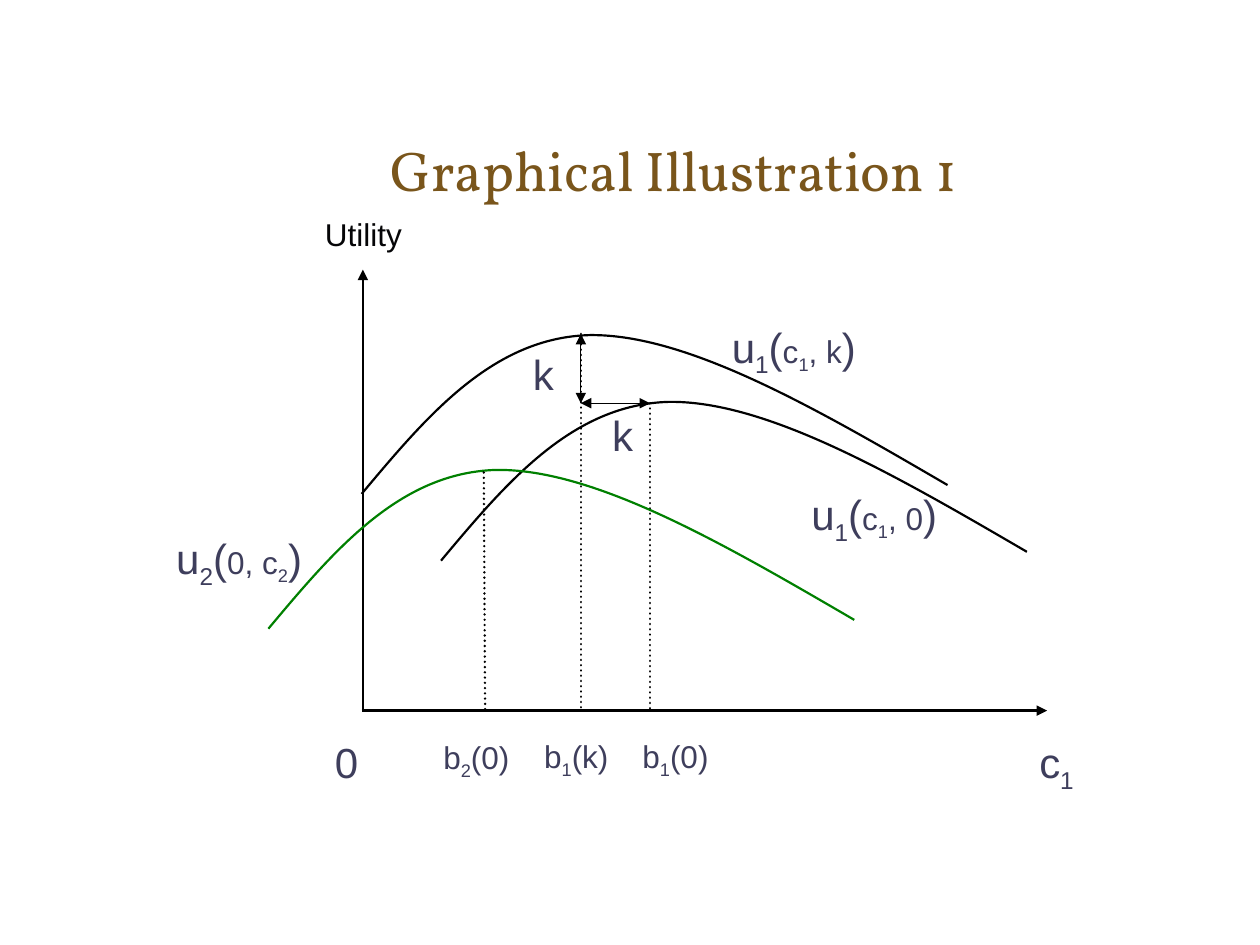
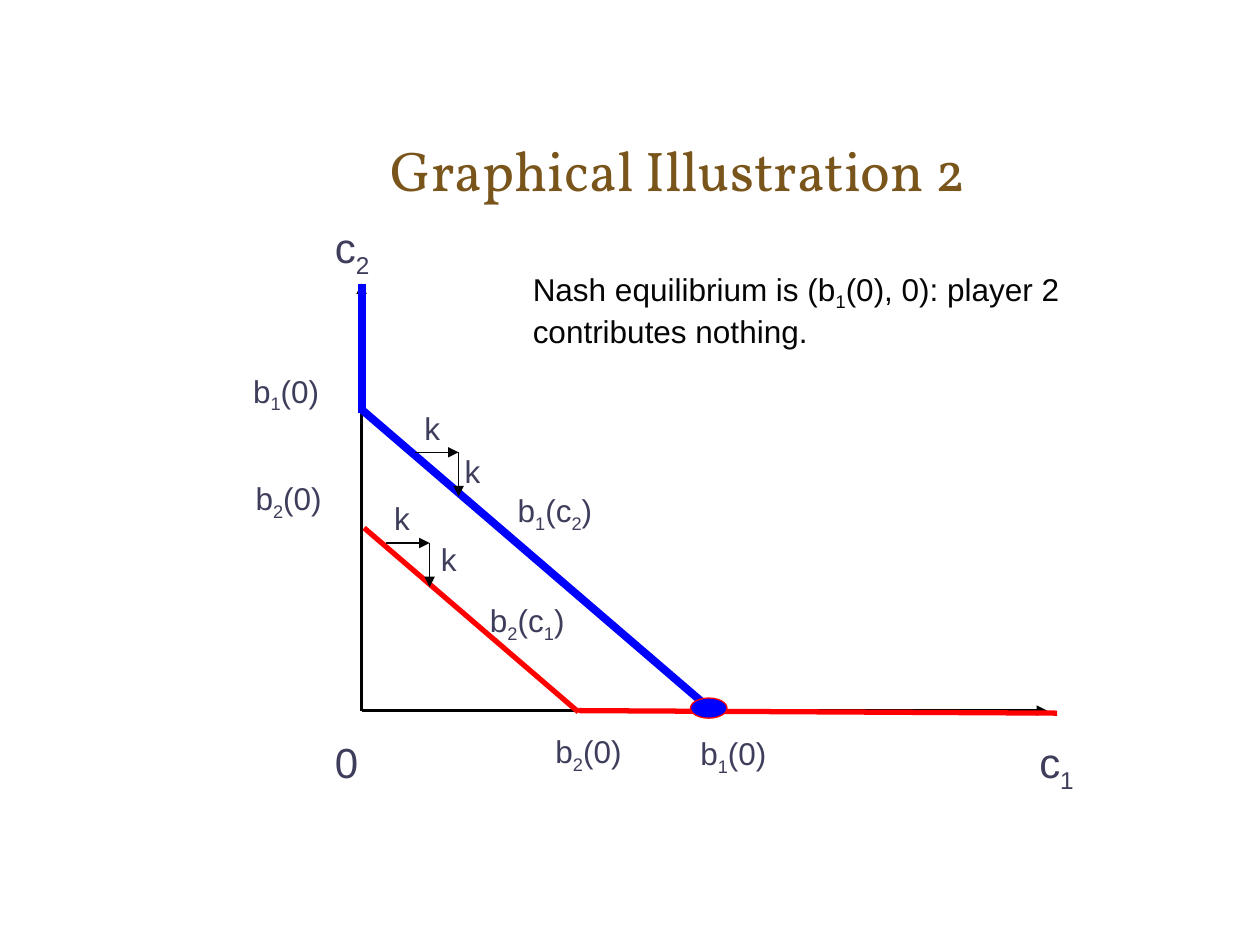
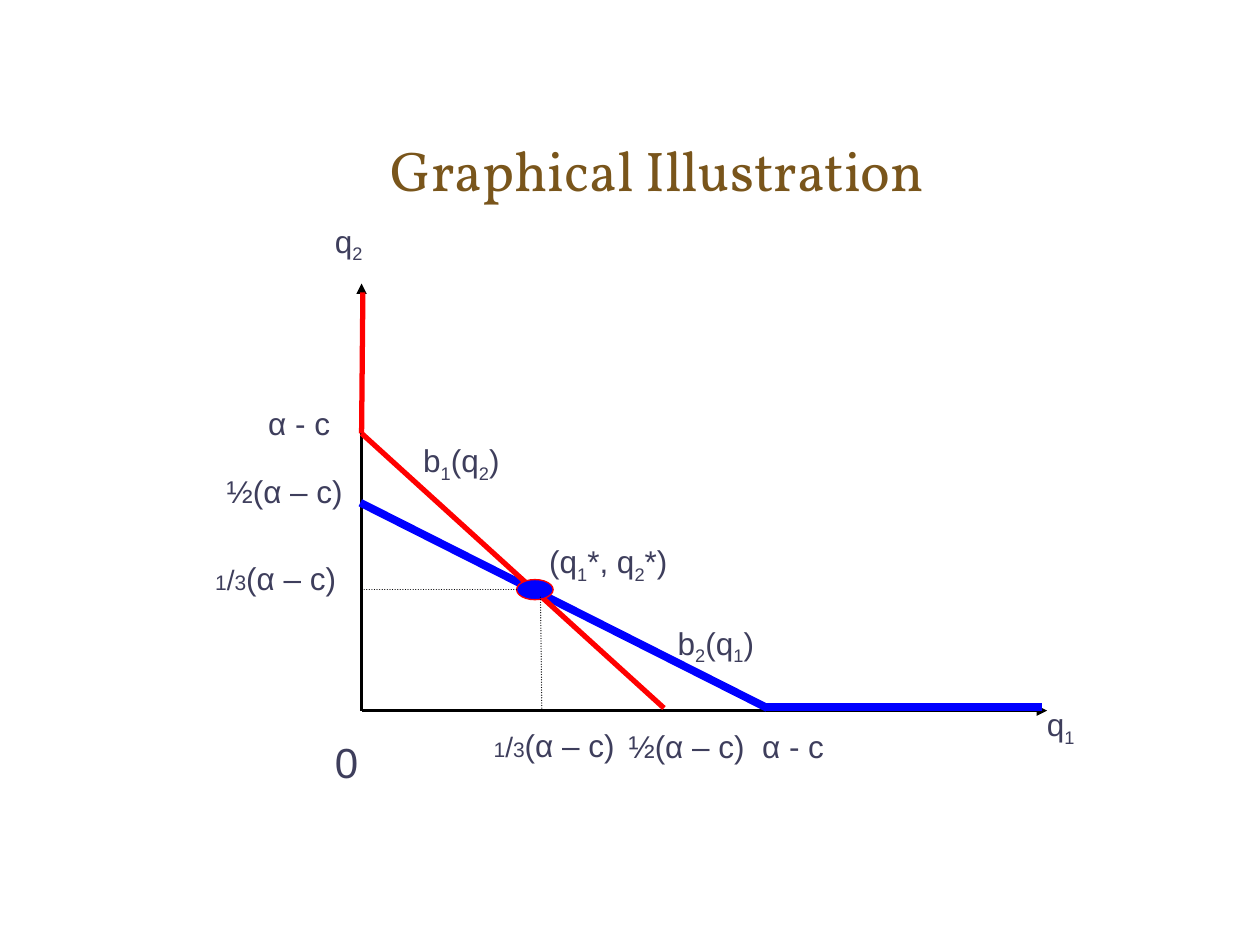
from lxml import etree
from pptx import Presentation
from pptx.dml.color import RGBColor
from pptx.enum import dml, shapes, text
from pptx.oxml import ns
from pptx.util import Inches, Pt

BLACK = "000000"
INK = "050507"
SLATE = "3E3E5C"
BROWN = "79551B"
BLUE = "0000FF"
RED = "FF0000"
GREEN = "008000"

ORIGIN_X, ORIGIN_Y = 2.87, 5.64
AXIS_END = 8.31
LABEL_HEIGHTS = {24: (0.5, 0.56), 18: (0.4, 0.44)}
UTILITY_CURVE = [
    (0, 1.27), (0.52, 0.65), (1.04, 0.03), (1.81, 0.01),
    (2.59, 0), (3.62, 0.6), (4.65, 1.2),
]
THIRD = [("1", 12), ("/", 16), ("3", 12), ("(α – c)", 18)]


def color(hex_value):
    return RGBColor.from_string(hex_value)


def utility_label(player, arguments):
    return [(f"u_{player}(", 24), (arguments, 18), (")", 24)]


def bend_segments(outline):
    segments = outline.findall(ns.qn("a:lnTo"))
    for first in range(0, len(segments), 3):
        bend = etree.SubElement(outline, ns.qn("a:cubicBezTo"))
        for segment in segments[first:first + 3]:
            bend.append(segment[0])
            outline.remove(segment)


class GraphDeck:
    def __init__(self):
        self.presentation = Presentation()
        self.presentation.slide_width = Inches(10)
        self.presentation.slide_height = Inches(7.5)
        self.slide = None

    def new_slide(self, title):
        layout = self.presentation.slide_layouts[6]
        self.slide = self.presentation.slides.add_slide(layout)
        text_frame = self.text_box(3, 0.84, 6, 1)
        text_frame.vertical_anchor = text.MSO_ANCHOR.MIDDLE
        text_frame.text = title
        self.format_run(text_frame.paragraphs[0].runs[0], 32, BROWN, "Vollkorn")

    def text_box(self, left, top, width, height):
        box = self.slide.shapes.add_textbox(
            Inches(left), Inches(top), Inches(width), Inches(height)
        )
        box.text_frame.word_wrap = True
        return box.text_frame

    def format_run(self, run, size, hex_value, font_name="Arial"):
        run.font.size = Pt(size)
        run.font.name = font_name
        run.font.color.rgb = color(hex_value)

    def label(self, content, left, top, width, size=18, hex_value=SLATE,
              height=None, wrap=True):
        parts = [(content, size)] if isinstance(content, str) else content
        has_subscript = any("_" in part for part, _ in parts)
        height = height or LABEL_HEIGHTS[max(s for _, s in parts)][has_subscript]
        text_frame = self.text_box(left, top, width, height)
        text_frame.word_wrap = wrap
        text_frame.auto_size = text.MSO_AUTO_SIZE.SHAPE_TO_FIT_TEXT
        paragraph = text_frame.paragraphs[0]
        for part, part_size in parts:
            plain, *marked = part.split("_")
            pieces = [(plain, False)]
            for piece in marked:
                pieces += [(piece[0], True), (piece[1:], False)]
            for piece, is_subscript in pieces:
                if not piece:
                    continue
                run = paragraph.add_run()
                run.text = piece
                self.format_run(run, part_size, hex_value)
                if is_subscript:
                    run.font._element.set("baseline", "-25000")

    def line(self, start, end, hex_value=BLACK, width=1.5, dotted=False, arrows=()):
        connector = self.slide.shapes.add_connector(
            shapes.MSO_CONNECTOR.STRAIGHT, *map(Inches, (*start, *end))
        )
        connector.line.color.rgb = color(hex_value)
        connector.line.width = Pt(width)
        outline = connector.line._get_or_add_ln()
        if dotted:
            connector.line.dash_style = dml.MSO_LINE.ROUND_DOT
            outline.set("cap", "rnd")
        for end_name in arrows:
            etree.SubElement(outline, ns.qn(f"a:{end_name}"), type="triangle")
        etree.SubElement(connector._element.spPr, ns.qn("a:effectLst"))

    def curve(self, left, top, hex_value):
        vertices = [(Inches(left + x), Inches(top + y)) for x, y in UTILITY_CURVE]
        builder = self.slide.shapes.build_freeform(*vertices[0])
        builder.add_line_segments(vertices[1:], close=False)
        shape = builder.convert_to_shape()
        bend_segments(next(shape._element.iter(ns.qn("a:path"))))
        shape.shadow.inherit = False
        shape.fill.background()
        shape.line.color.rgb = color(hex_value)
        shape.line.width = Pt(1.25)

    def equilibrium(self, left, top):
        shape = self.slide.shapes.add_shape(
            shapes.MSO_SHAPE.OVAL,
            Inches(left), Inches(top), Inches(0.29), Inches(0.16),
        )
        shape.shadow.inherit = False
        shape.fill.solid()
        shape.fill.fore_color.rgb = color(BLUE)
        shape.line.color.rgb = color(RED)
        shape.line.width = Pt(0.75)

    def axes(self, x=ORIGIN_X, top=2.25):
        self.line((ORIGIN_X, ORIGIN_Y), (AXIS_END, ORIGIN_Y), arrows=["tailEnd"])
        self.line((x, ORIGIN_Y), (x, top), arrows=["tailEnd"])
        self.label("0", 2.56, 5.8, 0.63, 24)

    def step_arrows(self, left, top):
        corner = left + 0.35
        for start, end in (((left, top), (corner, top)),
                           ((corner, top), (corner, top + 0.35))):
            self.line(start, end, INK, 0.75, arrows=["tailEnd"])


def utility_slide(deck):
    deck.new_slide("Graphical Illustration 1")
    deck.curve(3.5, 3.18, BLACK)
    deck.curve(2.87, 2.65, BLACK)
    deck.axes(x=2.88, top=2.14)
    for x, top in ((5.16, 3.2), (4.61, 2.65)):
        deck.line((x, top), (x, ORIGIN_Y), dotted=True)
    for start, end in (((5.16, 3.2), (4.61, 3.2)), ((4.61, 2.65), (4.61, 3.2))):
        deck.line(start, end, width=0.75, arrows=["headEnd", "tailEnd"])
    deck.label("c_1", 8.15, 5.8, 0.63, 24)
    deck.label("b_1(k)", 4.22, 5.8, 0.94)
    deck.label("b_1(0)", 5, 5.8, 0.94)
    deck.label("k", 4.13, 2.72, 0.71, 24)
    deck.label("k", 4.76, 3.2, 0.55, 24)
    deck.label(utility_label(1, "c_1, 0"), 6.34, 3.83, 1.65)
    deck.label(utility_label(1, "c_1, k"), 5.71, 2.5, 1.65)
    deck.curve(2.13, 3.72, GREEN)
    deck.label(utility_label(2, "0, c_2"), 1.3, 4.18, 1.65)
    deck.line((3.84, 3.75), (3.85, 5.63), dotted=True)
    deck.label("b_2(0)", 3.42, 5.81, 0.94)
    deck.label("Utility", 2.48, 1.66, 1.01, hex_value=INK)


def contribution_slide(deck):
    deck.new_slide("Graphical Illustration 2")
    deck.axes()
    deck.line((2.87, 2.25), (2.87, 3.28), BLUE, 4.5)
    deck.line((2.87, 3.25), (5.64, 5.63), BLUE, 4.5)
    deck.line((2.89, 4.19), (4.59, 5.65), RED, 3)
    deck.line((4.59, 5.64), (8.39, 5.66), RED, 3)
    deck.label("c_1", 8.15, 5.8, 0.63, 24)
    deck.label("c_2", 2.56, 1.71, 0.63, 24)
    deck.label("b_2(0)", 4.31, 5.76, 1.02)
    deck.label("b_1(0)", 5.46, 5.78, 0.94)
    deck.label("b_1(0)", 1.91, 2.9, 1.02)
    deck.label("b_2(0)", 1.93, 3.75, 0.94)
    deck.label("b_1(c_2)", 4.01, 3.85, 1.65)
    deck.label("b_2(c_1)", 3.79, 4.72, 1.65)
    deck.equilibrium(5.48, 5.54)
    deck.label("Nash equilibrium is (b_1(0), 0): player 2 contributes nothing.",
               4.13, 2.09, 4.41, hex_value=INK, height=0.74)
    deck.step_arrows(3.06, 4.31)
    deck.step_arrows(3.29, 3.59)
    for left, top in ((3.03, 3.91), (3.4, 4.24), (3.59, 3.54), (3.27, 3.2)):
        deck.label("k", left, top, 0.36)


def quantity_slide(deck):
    deck.new_slide("Graphical Illustration")
    deck.axes()
    deck.line((8.27, 5.61), (6.08, 5.61), BLUE, 4.5)
    deck.line((2.86, 3.99), (6.09, 5.62), BLUE, 4.5)
    deck.line((2.87, 3.44), (5.27, 5.62), RED, 3)
    deck.line((2.87, 3.44), (2.88, 2.32), RED, 3)
    deck.label("q_1", 8.21, 5.55, 0.63)
    deck.label("q_2", 2.56, 1.71, 0.63)
    deck.label("b_1(q_2)", 3.26, 3.45, 1.65)
    deck.label("b_2(q_1)", 5.28, 4.9, 1.65)
    deck.equilibrium(4.1, 4.6)
    for left, top in ((2.03, 3.16), (5.95, 5.72)):
        deck.label("α - c", left, top, 1.02)
    for left, top in ((4.89, 5.72), (1.7, 3.7)):
        deck.label("½(α – c)", left, top, 1.43)
    for left, top in ((3.82, 5.71), (1.61, 4.39)):
        deck.label(THIRD, left, top, 1.43)
    deck.line((4.29, 4.74), (4.3, 5.63), INK, 0.75, dotted=True)
    deck.line((2.87, 4.68), (4.11, 4.68), INK, 0.75, dotted=True)
    deck.label("(q_1*, q_2*)", 4.26, 4.25, 1.14, wrap=False)


def main():
    deck = GraphDeck()
    utility_slide(deck)
    contribution_slide(deck)
    quantity_slide(deck)
    deck.presentation.save("out.pptx")


if __name__ == "__main__":
    main()
